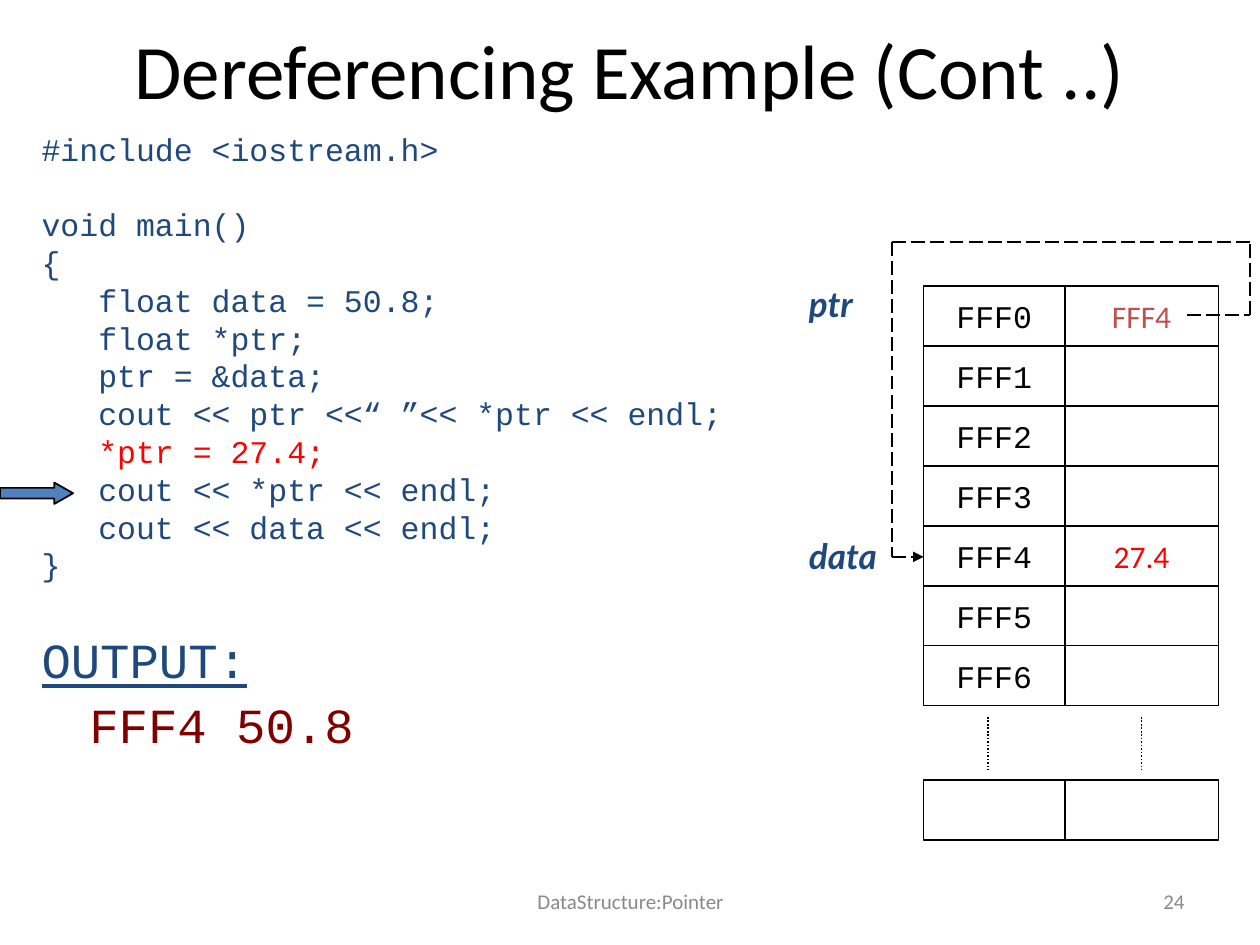
from lxml import etree
from pptx import Presentation
from pptx.dml.color import RGBColor
from pptx.enum.dml import MSO_LINE
from pptx.enum.shapes import MSO_CONNECTOR, MSO_SHAPE
from pptx.enum.text import MSO_ANCHOR, PP_ALIGN
from pptx.oxml.ns import qn
from pptx.util import Inches, Pt

LONG_DASH, DOTTED = MSO_LINE.LONG_DASH, MSO_LINE.ROUND_DOT
STRAIGHT = MSO_CONNECTOR.STRAIGHT
RECTANGLE, RIGHT_ARROW = MSO_SHAPE.RECTANGLE, MSO_SHAPE.RIGHT_ARROW
MIDDLE, TOP = MSO_ANCHOR.MIDDLE, MSO_ANCHOR.TOP
LEFT, CENTER, RIGHT = PP_ALIGN.LEFT, PP_ALIGN.CENTER, PP_ALIGN.RIGHT
BLACK, NAVY, RED, GRAY = "000000", "1F497D", "FF0000", "898989"
MONO, SANS = "Courier New", "Calibri"


def style(font, size, name, color):
    font.size, font.name = Pt(size), name
    font.color.rgb = RGBColor.from_string(color)


def add_line(start, end, dash):
    line = slide.shapes.add_connector(STRAIGHT, *map(Inches, start + end))
    line.line.color.rgb = RGBColor.from_string(BLACK)
    line.line.width = Pt(1)
    line.line.dash_style = dash
    etree.SubElement(line._element.spPr, qn("a:effectLst"))
    return line


prs = Presentation()
prs.slide_width, prs.slide_height = Inches(10), Inches(7.5)
slide = prs.slides.add_slide(prs.slide_layouts[5])

# Title
title = slide.shapes.title
title.left, title.top = Inches(0.5), Inches(-0.08)
title.width, title.height = Inches(9), Inches(1.25)
title.text_frame.text = "Dereferencing Example (Cont ..)"
title.text_frame.vertical_anchor = MIDDLE
title_line = title.text_frame.paragraphs[0]
title_line.alignment = CENTER
style(title_line.font, 44, SANS, BLACK)

# Program and its output: text, size, colour, space before, line height
program = [
    ("#include <iostream.h>", 18, NAVY, 0, 21.6),
    ("void main()", 18, NAVY, 21.6, 21.6),
    ("{", 18, NAVY, 0, 21.6),
    ("   float data = 50.8;", 18, NAVY, 0, 21.6),
    ("   float *ptr;", 18, NAVY, 0, 21.6),
    ("   ptr = &data;", 18, NAVY, 0, 21.6),
    ("   cout << ptr <<“ ”<< *ptr << endl;", 18, NAVY, 0, 21.6),
    ("   *ptr = 27.4;", 18, RED, 0, 21.6),
    ("   cout << *ptr << endl;", 18, NAVY, 0, 21.6),
    ("   cout << data << endl;", 18, NAVY, 0, 21.6),
    ("}", 18, NAVY, 0, 21.6),
    ("OUTPUT:", 28, NAVY, 30, 30),
    ("FFF4 50.8", 28, "800000", 7, 30),
]
code = slide.shapes.add_textbox(
    Inches(0.33), Inches(0.98), Inches(6.08), Inches(5.08)).text_frame
code.word_wrap = True
code.margin_left = code.margin_right = 0
for i, (text, size, color, before, height) in enumerate(program):
    code_line = code.add_paragraph() if i else code.paragraphs[0]
    code_line.text = text
    code_line.space_before, code_line.line_spacing = Pt(before), Pt(height)
    style(code_line.font, size, MONO, color)
code.paragraphs[-2].font.underline = True
code.paragraphs[-1]._p.get_or_add_pPr().set("marL", str(Inches(0.38)))

# Marker of the current statement
marker = slide.shapes.add_shape(
    RIGHT_ARROW, 0, Inches(3.83), Inches(0.58), Inches(0.17))
marker.adjustments[0], marker.adjustments[1] = 0.5, 0.876
marker.shadow.inherit = False
marker.fill.solid()
marker.fill.fore_color.rgb = RGBColor.from_string("4F81BD")
marker.line.color.rgb = RGBColor.from_string(BLACK)
marker.line.width = Pt(1)

# Memory cells: seven addressed rows and a last row further down
memory_top, row_height = 2.27, 3.33 / 7
values = {0: ("FFF4", "C0504D"), 4: ("27.4", RED)}
rows = [(memory_top + i * row_height, f"FFF{i}", *values.get(i, ("", BLACK)))
        for i in range(7)]
rows.append((6.19, "", "", BLACK))
for top, address, value, value_color in rows:
    for left, width, text, font_name, color in (
            (7.33, 1.12, address, MONO, BLACK),
            (8.45, 1.22, value, SANS, value_color)):
        cell = slide.shapes.add_shape(
            RECTANGLE, Inches(left), Inches(top), Inches(width), Inches(row_height))
        cell.shadow.inherit = False
        cell.fill.background()
        cell.line.color.rgb = RGBColor.from_string(BLACK)
        cell.line.width = Pt(1)
        if text:
            cell.text_frame.text = text
            cell.text_frame.word_wrap = False
            cell.text_frame.vertical_anchor = MIDDLE
            cell.text_frame.paragraphs[0].alignment = CENTER
            style(cell.text_frame.paragraphs[0].font, 18, font_name, color)

# Dotted continuation between the rows
for x in (7.84, 9.06):
    add_line((x, 5.69), (x, 6.11), DOTTED)

# Pointer route from the value of ptr to the address of data
route = [(9.42, 2.5), (9.92, 2.5), (9.92, 1.92), (7.08, 1.92), (7.08, 4.42), (7.33, 4.42)]
for start, end in zip(route, route[1:]):
    segment = add_line(start, end, LONG_DASH)
etree.SubElement(segment.line._get_or_add_ln(), qn("a:tailEnd"), type="triangle")

# Variable names, footer and slide number
labels = [
    ("ptr", 6.42, 2.19, 0.75, 0.44, 0, TOP, LEFT, 20, "Lato", NAVY),
    ("data", 6.42, 4.19, 0.75, 0.44, 0, TOP, LEFT, 20, "Lato", NAVY),
    ("DataStructure:Pointer", 3.42, 6.95, 3.17, 0.4, 0.1, MIDDLE, CENTER, 12, SANS, GRAY),
    ("24", 7.17, 6.95, 2.33, 0.4, 0.1, MIDDLE, RIGHT, 12, SANS, GRAY),
]
for text, left, top, width, height, margin, anchor, align, size, name, color in labels:
    label = slide.shapes.add_textbox(
        Inches(left), Inches(top), Inches(width), Inches(height)).text_frame
    label.word_wrap = True
    label.margin_left = label.margin_right = Inches(margin)
    label.vertical_anchor = anchor
    label.text = text
    label.paragraphs[0].alignment = align
    style(label.paragraphs[0].font, size, name, color)
    if color == NAVY:
        label.paragraphs[0].font.bold = label.paragraphs[0].font.italic = True

prs.save("out.pptx")
